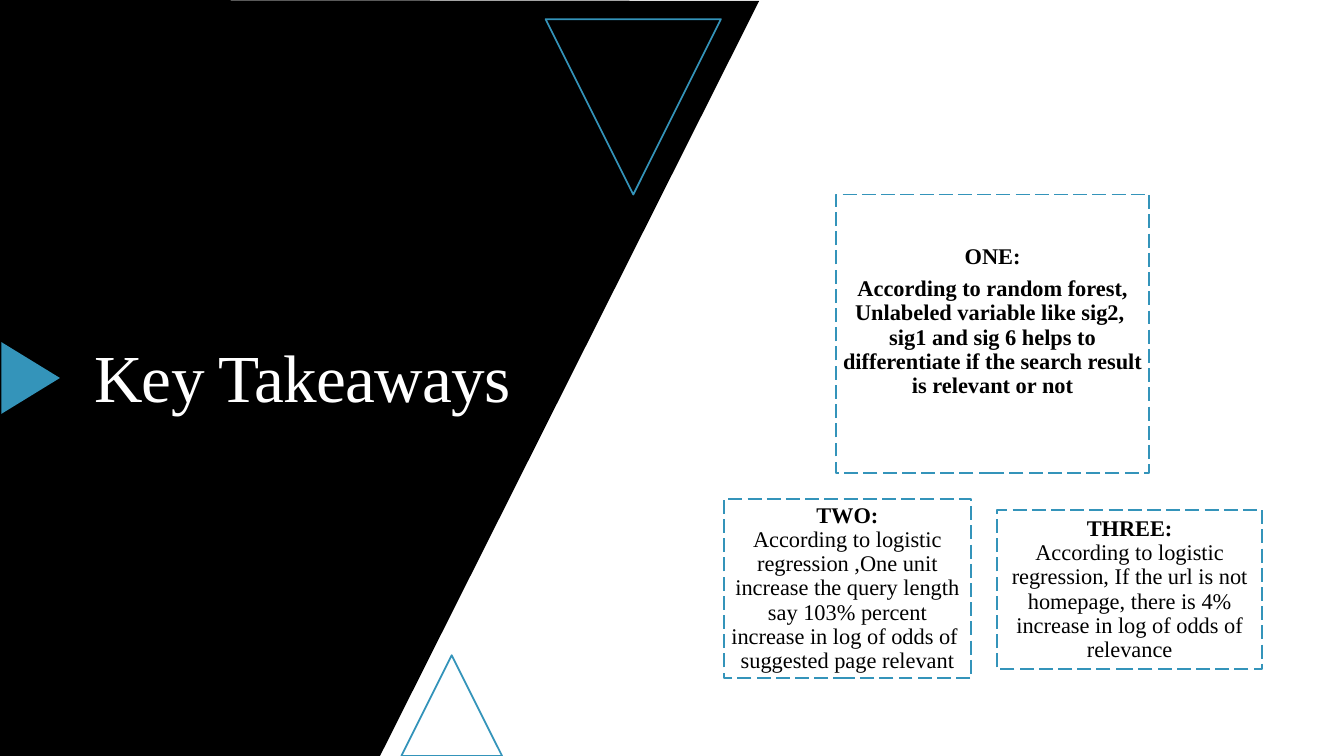
from dataclasses import dataclass

from pptx import Presentation
from pptx.dml.color import RGBColor
from pptx.enum.dml import MSO_LINE
from pptx.enum.shapes import MSO_SHAPE as Preset
from pptx.enum.text import MSO_ANCHOR as Anchor, MSO_AUTO_SIZE as AutoSize, PP_ALIGN as Align
from pptx.shapes.autoshape import Shape
from pptx.slide import Slide
from pptx.text.text import _Paragraph as Paragraph
from pptx.util import Inches, Pt

BLACK = RGBColor(0x00, 0x00, 0x00)
WHITE = RGBColor(0xFF, 0xFF, 0xFF)
TEAL = RGBColor(0x34, 0x94, 0xBA)
FONT = "Times New Roman"
SLIDE_WIDTH = Inches(13.33)
SLIDE_HEIGHT = Inches(7.5)
INSET = Inches(0.07)


def across(percent: float) -> int:
    return round(SLIDE_WIDTH * percent / 100)


def down(percent: float) -> int:
    return round(SLIDE_HEIGHT * percent / 100)


@dataclass(frozen=True)
class Area:
    left: float
    top: float
    width: float
    height: float

    def box(self) -> tuple[int, int, int, int]:
        return across(self.left), down(self.top), across(self.width), down(self.height)


@dataclass(frozen=True)
class Triangle:
    area: Area
    rotation: int
    filled: bool = False


@dataclass(frozen=True)
class Takeaway:
    area: Area
    heading: str
    statement: str
    stacked: bool = False
    room_below: float = 0


TITLE_AREA = Area(4.5, 28.53, 36.01, 43.73)
BAND_CORNERS = [(56.49, 0.13), (28.28, 100), (0, 100)]
TRIANGLES = [
    Triangle(Area(29.86, 86.67, 7.5, 13.33), 0),
    Triangle(Area(40.59, 2.53, 13.05, 23.2), 180),
    Triangle(Area(-0.38, 46.13, 5.33, 7.73), 90, filled=True),
]
TAKEAWAYS = [
    Takeaway(
        Area(62.19, 25.73, 23.33, 36.8),
        "ONE:",
        "According to random forest, Unlabeled variable like sig2,  sig1 and sig 6 "
        "helps to differentiate if the search result is relevant or not",
        stacked=True,
        room_below=3.2,
    ),
    Takeaway(
        Area(53.86, 66, 18.38, 23.73),
        "TWO:",
        "According to logistic regression ,One unit increase the query length say "
        "103% percent increase in log of odds of  suggested page relevant",
    ),
    Takeaway(
        Area(74.19, 67.47, 19.73, 21.07),
        "THREE:",
        "According to logistic regression, If the url is not homepage, there is 4% "
        "increase in log of odds of relevance",
    ),
]


def outline(shape: Shape) -> None:
    shape.shadow.inherit = False
    shape.fill.background()
    shape.line.color.rgb = TEAL
    shape.line.width = Pt(1.25)


def format_paragraph(paragraph: Paragraph, size: int, color: RGBColor) -> None:
    paragraph.alignment = Align.CENTER
    paragraph.line_spacing = 0.9
    paragraph.font.name = FONT
    paragraph.font.size = Pt(size)
    paragraph.font.color.rgb = color


def draw_band(slide: Slide) -> None:
    builder = slide.shapes.build_freeform(0, 0, scale=1.0)
    builder.add_line_segments([(across(x), down(y)) for x, y in BAND_CORNERS])
    band = builder.convert_to_shape()
    band.shadow.inherit = False
    band.fill.solid()
    band.fill.fore_color.rgb = BLACK
    band.line.fill.background()


def draw_triangle(slide: Slide, triangle: Triangle) -> None:
    shape = slide.shapes.add_shape(Preset.ISOSCELES_TRIANGLE, *triangle.area.box())
    shape.rotation = triangle.rotation
    outline(shape)
    if triangle.filled:
        shape.fill.solid()
        shape.fill.fore_color.rgb = TEAL
        shape.line.fill.background()


def draw_takeaway(slide: Slide, takeaway: Takeaway) -> None:
    card = slide.shapes.add_shape(Preset.RECTANGLE, *takeaway.area.box())
    outline(card)
    card.line.dash_style = MSO_LINE.LONG_DASH
    frame = card.text_frame
    frame.word_wrap = True
    frame.vertical_anchor = Anchor.MIDDLE
    frame.margin_left = frame.margin_right = frame.margin_top = INSET
    frame.margin_bottom = INSET + down(takeaway.room_below)

    heading = frame.paragraphs[0]
    heading_run = heading.add_run()
    heading_run.text = takeaway.heading
    heading_run.font.bold = True
    if takeaway.stacked:
        statement = frame.add_paragraph()
    else:
        heading.add_line_break()
        statement = heading
    statement_run = statement.add_run()
    statement_run.text = takeaway.statement
    statement_run.font.bold = takeaway.stacked
    for paragraph in frame.paragraphs:
        format_paragraph(paragraph, 16, BLACK)
        paragraph.space_after = Pt(6)


def place_title(slide: Slide) -> None:
    title = slide.shapes.title
    title.left, title.top, title.width, title.height = TITLE_AREA.box()
    frame = title.text_frame
    frame.text = "Key Takeaways"
    frame.word_wrap = True
    frame.auto_size = AutoSize.NONE
    frame.vertical_anchor = Anchor.MIDDLE
    heading = frame.paragraphs[0]
    format_paragraph(heading, 48, WHITE)
    heading.runs[0]._r.get_or_add_rPr().set("spc", "-50")
    slide.shapes._spTree.append(title._element)


def main() -> None:
    deck = Presentation()
    deck.slide_width = SLIDE_WIDTH
    deck.slide_height = SLIDE_HEIGHT
    slide = deck.slides.add_slide(deck.slide_layouts[5])
    draw_band(slide)
    for triangle in TRIANGLES:
        draw_triangle(slide, triangle)
    for takeaway in TAKEAWAYS:
        draw_takeaway(slide, takeaway)
    place_title(slide)
    deck.save("out.pptx")


if __name__ == "__main__":
    main()
